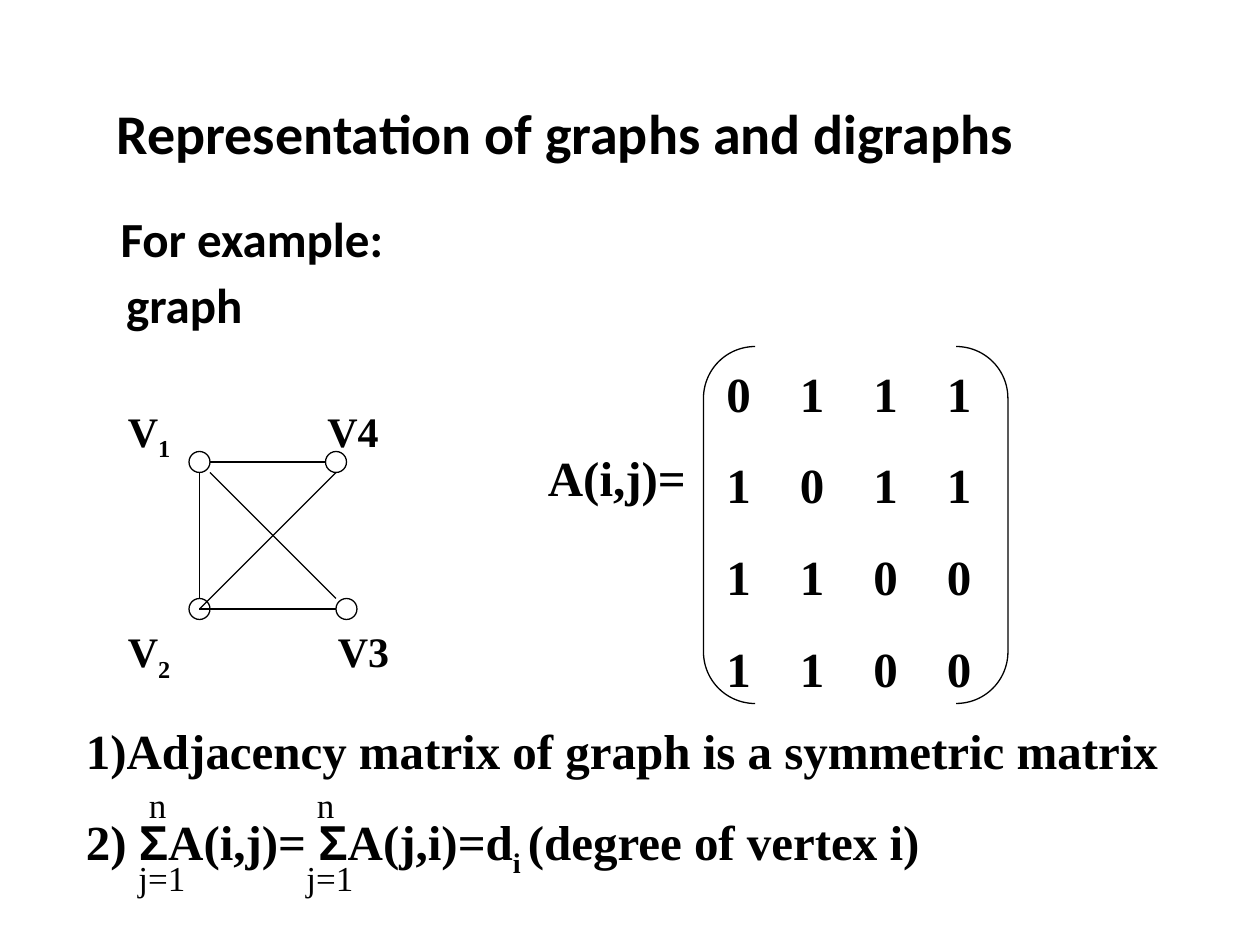
from pptx import Presentation
from pptx.dml.color import RGBColor
from pptx.enum.shapes import MSO_CONNECTOR, MSO_SHAPE
from pptx.enum.text import MSO_ANCHOR, MSO_AUTO_SIZE
from pptx.oxml.ns import qn
from pptx.util import Pt
from lxml import etree

STRAIGHT = MSO_CONNECTOR.STRAIGHT
ELLIPSE, BRACKETS = MSO_SHAPE.OVAL, MSO_SHAPE.DOUBLE_BRACKET
TOP, MIDDLE = MSO_ANCHOR.TOP, MSO_ANCHOR.MIDDLE
FIT, FIXED = MSO_AUTO_SIZE.SHAPE_TO_FIT_TEXT, MSO_AUTO_SIZE.NONE
COLORS = {"ink": "000000", "paper": "FFFFFF"}
SERIF, SANS, SYMBOL = "Times New Roman", "Calibri", "Arial"


class SlideBuilder:
    """Holds the style and the current slide, and adds elements to it."""

    def __init__(self, slide):
        self.s = slide
        self.ink = RGBColor.from_string(COLORS["ink"])
        fill = slide.background.fill
        fill.solid()
        fill.fore_color.rgb = RGBColor.from_string(COLORS["paper"])

    def outline(self, sp):
        sp.line.color.rgb = self.ink
        sp.line.width = Pt(0.75)

    def shape(self, kind, x, y, w, h):
        sp = self.s.shapes.add_shape(kind, Pt(x), Pt(y), Pt(w), Pt(h))
        sp.shadow.inherit = False
        sp.fill.background()
        self.outline(sp)
        return sp

    def line(self, x1, y1, x2, y2):
        sp = self.s.shapes.add_connector(STRAIGHT, Pt(x1), Pt(y1), Pt(x2), Pt(y2))
        self.outline(sp)
        etree.SubElement(sp._element.spPr, qn("a:effectLst"))

    def run(self, p, text, size, font, bold, sub=False):
        r = p.add_run()
        r.text = text
        for key, value in {"size": Pt(size), "name": font, "bold": bold}.items():
            setattr(r.font, key, value)
        r.font.color.rgb = self.ink
        if sub:
            r.font._element.set("baseline", "-25000")

    def text(self, x, y, w, h, paragraphs, size, font=SERIF, bold=True, before=0,
             spacing=None, insets=(7.2, 3.6), anchor=TOP, fit=FIT, indents=(), tabs=()):
        tf = self.s.shapes.add_textbox(Pt(x), Pt(y), Pt(w), Pt(h)).text_frame
        side, edge = Pt(insets[0]), Pt(insets[1])
        frame = {"word_wrap": True, "auto_size": fit, "vertical_anchor": anchor,
                 "margin_left": side, "margin_right": side,
                 "margin_top": edge, "margin_bottom": edge}
        for key, value in frame.items():
            setattr(tf, key, value)
        for i, runs in enumerate(paragraphs):
            p = tf.add_paragraph() if i else tf.paragraphs[0]
            if i:
                p.space_before = Pt(before)
            if spacing:
                p.line_spacing = spacing
            pPr = p._p.get_or_add_pPr()
            if indents:
                pPr.set("marL", str(Pt(indents[i])))
            if tabs:
                tab_list = etree.SubElement(pPr, qn("a:tabLst"))
                for pos in tabs:
                    etree.SubElement(tab_list, qn("a:tab"), pos=str(Pt(pos)), algn="l")
            for text, *style in runs:
                self.run(p, text, size, style[0] if style else font, bold, len(style) > 1)


def main():
    prs = Presentation()
    prs.slide_width, prs.slide_height = Pt(720), Pt(540)
    s = SlideBuilder(prs.slides.add_slide(prs.slide_layouts[6]))

    sans = {"font": SANS, "spacing": 0.9, "insets": (5.4, 2.7), "fit": FIXED}
    s.text(54, 48, 612, 60, [[("Representation of graphs and digraphs",)]], 32,
           anchor=MIDDLE, indents=[7.2], **sans)
    s.text(54, 120, 612, 322, [[("For example:",)], [("graph",)]], 28,
           before=7.5, indents=[9.5, 12.7], **sans)

    for x, y in [(108, 258), (108, 342), (192, 342), (186, 258)]:
        s.shape(ELLIPSE, x, y, 12, 12)
    for edge in [(120, 264, 186, 264), (114, 270, 114, 342), (120, 270, 192, 342),
                 (192, 270, 114, 348), (114, 348, 192, 348)]:
        s.line(*edge)
    for x, y, w, h, runs in [(66, 228, 42, 40, [("V",), ("1", SERIF, "sub")]),
                             (66, 354, 60, 40, [("V",), ("2", SERIF, "sub")]),
                             (186, 354, 66, 36, [("V3",)]),
                             (180, 228, 90, 36, [("V4",)])]:
        s.text(x, y, w, h, [runs], 24)

    s.text(306, 252, 120, 41, [[("A(i,j)=",)]], 28)
    brackets = s.shape(BRACKETS, 402, 198, 174, 204)
    brackets.adjustments[0] = 0.17
    matrix = ["0111", "1011", "1100", "1100"]
    s.text(408, 204, 180, 194, [[("\t".join(row),)] for row in matrix], 28,
           before=18.8, tabs=[42, 84, 126])

    degree = [("2) ",), ("Σ", SYMBOL), ("A(i,j)= ",), ("Σ", SYMBOL), ("A(j,i)=d",),
              ("i ", SERIF, "sub"), ("(degree of vertex i)",)]
    s.text(42, 408, 654, 96,
           [[("1)Adjacency matrix of graph is a symmetric matrix",)], degree], 28, before=18.8)
    for x in (72, 168):
        s.text(x + 6, 444, 30, 31, [[("n",)]], 20, bold=False)
        s.text(x, 486, 54, 31, [[("j=1",)]], 20, bold=False)

    prs.save("out.pptx")


if __name__ == "__main__":
    main()
